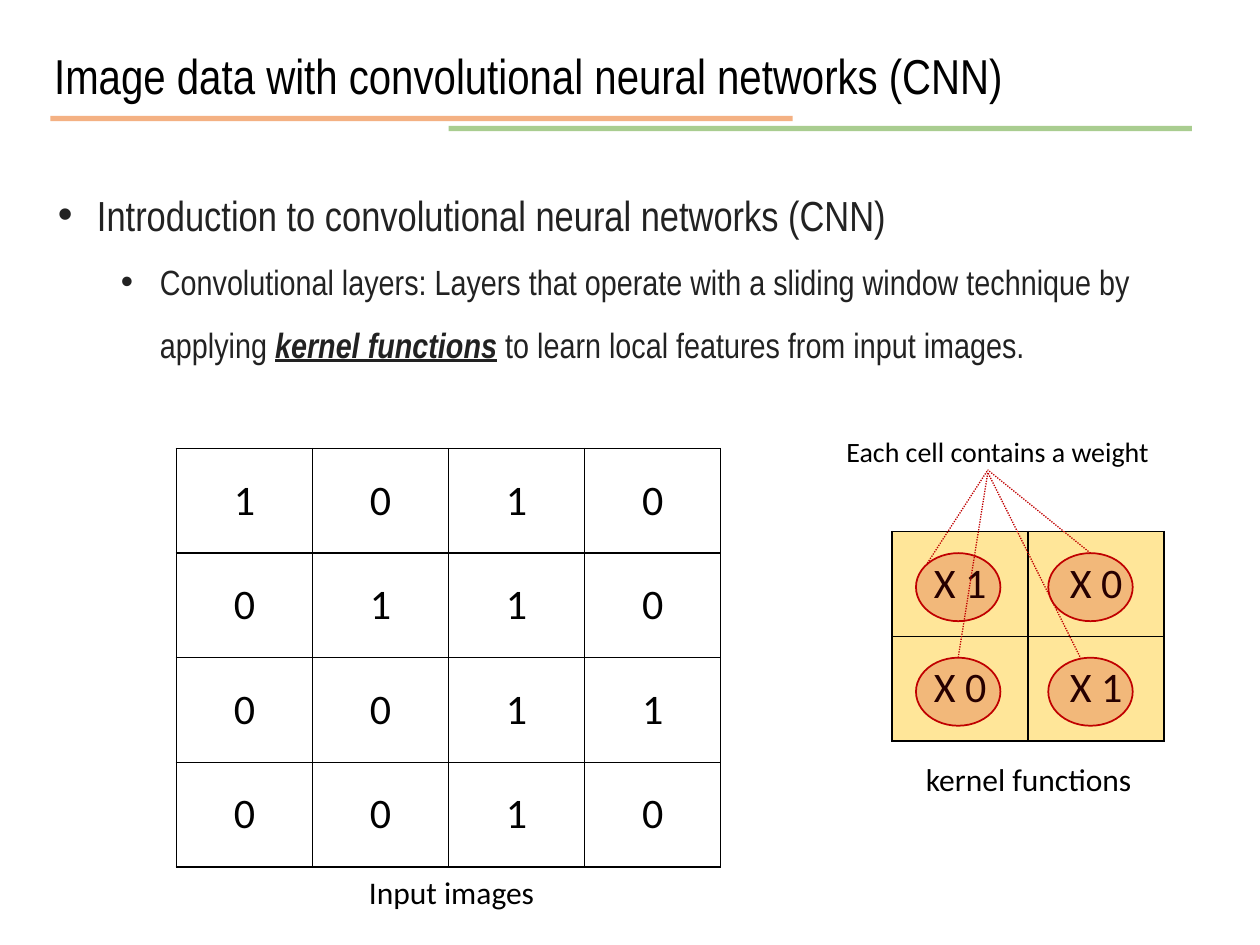
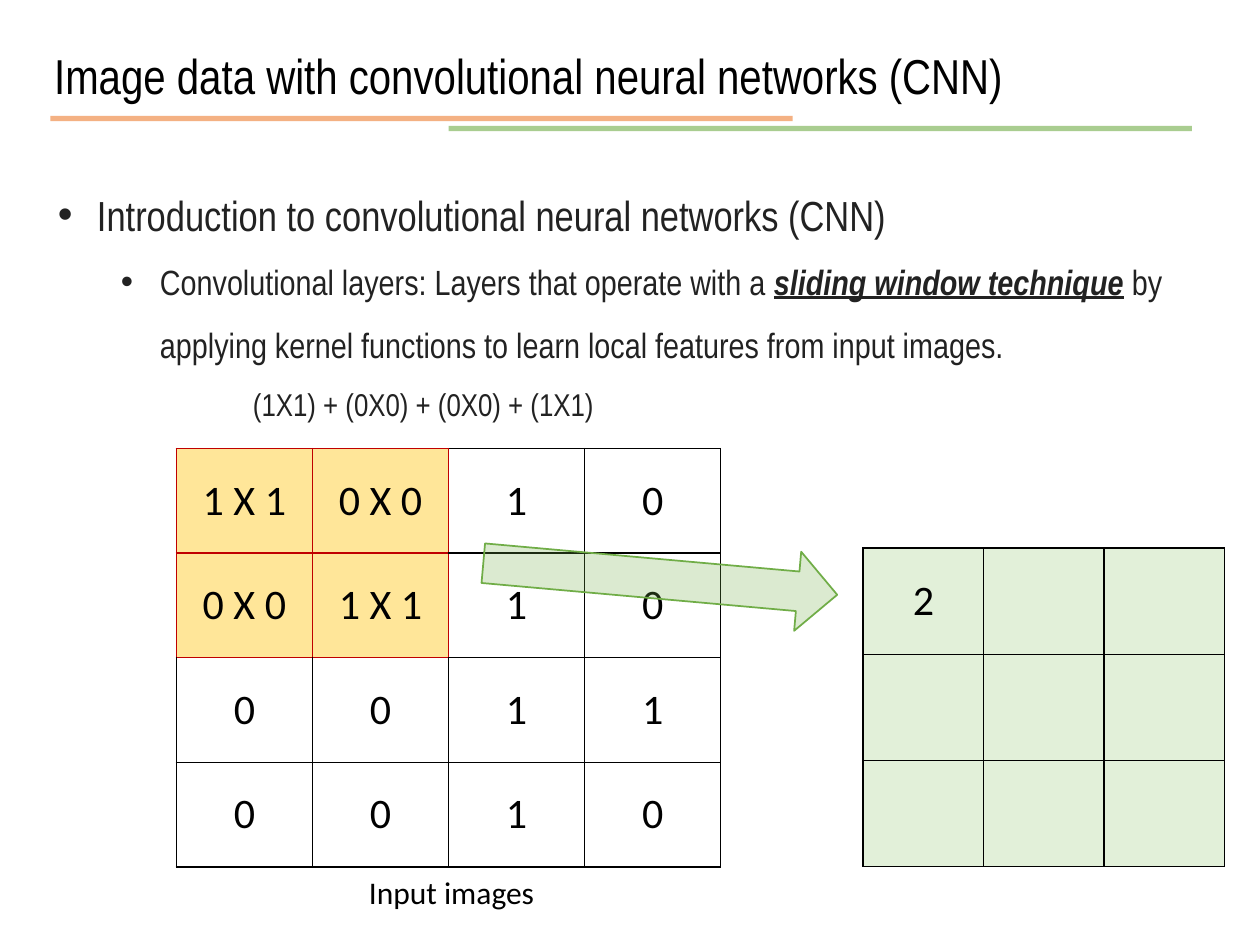
from pptx import Presentation
from pptx import util as u
from pptx.dml.color import RGBColor
from pptx.enum import dml, shapes, text
from pptx.oxml.ns import qn
from lxml import etree

# Shared style
NARROW, PLAIN = "Arial Narrow", "Calibri"
BLACK, INK, RED = "000000", "222222", "C00000"
ORANGE, GREEN = "ED7D31", "70AD47"
KERNEL_FILL, RESULT_FILL = "FFE699", "E2F0D9"
TITLE = "Image data with convolutional neural networks (CNN)"
TOPIC = "Introduction to convolutional neural networks (CNN)"

# Content
IMAGE = [[1, 0, 1, 0], [0, 1, 1, 0], [0, 0, 1, 1], [0, 0, 1, 0]]
KERNEL = [[1, 0], [0, 1]]
WINDOW = [(r, c, IMAGE[r][c], KERNEL[r][c]) for r in range(2) for c in range(2)]

# The slide is a grid of 100 columns by 75 rows
SLIDE_W, SLIDE_H = u.Inches(10), u.Inches(7.5)
IMAGE_AT, IMAGE_CELL = (14, 35.6), (10.8, 8.3)
KERNEL_AT = (70.8, 42.2)
RESULT_AT, RESULT_CELL = (68.5, 43.5), (9.57, 8.43)


def grid(*places):
    """Turn column, row, column, row ... into slide lengths."""
    units = (SLIDE_W / 100, SLIDE_H / 75)
    return [u.Emu(round(n * units[i % 2])) for i, n in enumerate(places)]


def colour(hex_code):
    return RGBColor.from_string(hex_code)


def style(paragraph, size, face, ink=BLACK):
    font = paragraph.font
    font.size, font.name = u.Pt(size), face
    font.color.rgb = colour(ink)


def set_alpha(element, where, percent):
    for srgb in element.xpath(f"./p:spPr/{where}a:solidFill/a:srgbClr"):
        etree.SubElement(srgb, qn("a:alpha"), val=str(percent * 1000))


# Text
def prepare_frame(shape, box):
    shape.left, shape.top, shape.width, shape.height = grid(*box)
    frame = shape.text_frame
    frame.word_wrap = True
    frame.auto_size = text.MSO_AUTO_SIZE.NONE
    frame.vertical_anchor = text.MSO_ANCHOR.TOP
    return frame


def add_label(slide, words, box, size=18, face=PLAIN, ink=BLACK):
    frame = prepare_frame(slide.shapes.add_textbox(*grid(*box)), box)
    frame.text = words
    style(frame.paragraphs[0], size, face, ink)


def set_bullet(paragraph, margin):
    props = paragraph._p.get_or_add_pPr()
    props.set("marL", str(u.Inches(margin)))
    props.set("indent", str(u.Inches(-0.31)))
    etree.SubElement(props, qn("a:buFont"), typeface="Arial")
    etree.SubElement(props, qn("a:buChar"), char="•")


def fill_title(slide):
    frame = prepare_frame(slide.shapes.title, (3.3, 0.8, 93.4, 7.2))
    frame.text = TITLE
    heading = frame.paragraphs[0]
    heading.alignment, heading.line_spacing = text.PP_ALIGN.LEFT, 1.5
    style(heading, 28, NARROW)


def fill_body(slide, height, before, stressed, after):
    frame = prepare_frame(slide.placeholders[1], (3.6, 12.5, 95.6, height))
    topic, detail = frame.paragraphs[0], frame.add_paragraph()
    topic.text, detail.level = TOPIC, 1
    for words in (before, stressed, after):
        run = detail.add_run()
        run.text = words
        if words == stressed:
            run.font.bold = run.font.italic = run.font.underline = True
    for paragraph, size, margin in ((topic, 24, 0.31), (detail, 20, 0.81)):
        paragraph.line_spacing, paragraph.space_before = 1.5, u.Pt(0)
        set_bullet(paragraph, margin)
        style(paragraph, size, NARROW, INK)


# Lines and shapes
def add_line(slide, ends, ink, width, alpha=None, dash=None):
    line = slide.shapes.add_connector(shapes.MSO_CONNECTOR.STRAIGHT, *grid(*ends))
    line.line.color.rgb, line.line.width = colour(ink), u.Pt(width)
    if dash:
        line.line.dash_style = dash
    if alpha:
        set_alpha(line._element, "a:ln/", alpha)
    etree.SubElement(line._element.spPr, qn("a:effectLst"))
    return line


def add_tinted(slide, kind, box, ink, alpha):
    shape = slide.shapes.add_shape(kind, *grid(*box))
    shape.shadow.inherit = False
    shape.fill.solid()
    shape.fill.fore_color.rgb = shape.line.color.rgb = colour(ink)
    shape.line.width = u.Pt(1)
    set_alpha(shape._element, "", alpha)
    return shape


# Tables
def add_border(cell, side, ink):
    edge = etree.SubElement(cell._tc.get_or_add_tcPr(), qn(f"a:ln{side}"), w=str(u.Pt(1)))
    fill = etree.SubElement(edge, qn("a:solidFill"))
    etree.SubElement(fill, qn("a:srgbClr"), val=ink)


def add_matrix(slide, values, corner, cell_size, fills=None, framed=()):
    """Draw values; fills maps (row, column) to a colour, framed cells get red edges."""
    rows, columns = len(values), len(values[0])
    size = (columns * cell_size[0], rows * cell_size[1])
    table = slide.shapes.add_table(rows, columns, *grid(*corner, *size)).table
    table.first_row = table.horz_banding = False
    width, height = grid(*cell_size)
    for column in table.columns:
        column.width = width
    for r, row in enumerate(table.rows):
        row.height = height
        for c, cell in enumerate(row.cells):
            neighbours = {"L": (r, c - 1), "R": (r, c + 1), "T": (r - 1, c), "B": (r + 1, c)}
            for side, neighbour in neighbours.items():
                red = (r, c) in framed or neighbour in framed
                add_border(cell, side, RED if red else BLACK)
            if fills and (r, c) in fills:
                cell.fill.solid()
                cell.fill.fore_color.rgb = colour(fills[r, c])
            else:
                cell.fill.background()
            cell.text = str(values[r][c])
            cell.vertical_anchor = text.MSO_ANCHOR.MIDDLE
            paragraph = cell.text_frame.paragraphs[0]
            paragraph.alignment = text.PP_ALIGN.CENTER
            style(paragraph, 24, PLAIN)


def add_input(slide, values, fills=None, framed=()):
    add_matrix(slide, values, IMAGE_AT, IMAGE_CELL, fills, framed)
    add_label(slide, "Input images", (28.3, 68.8, 19.9, 4))


def start_slide(deck, body_height, *detail):
    slide = deck.slides.add_slide(deck.slide_layouts[1])
    add_line(slide, (4, 9.4, 62.9, 9.4), ORANGE, 3, alpha=60)
    add_line(slide, (35.6, 10.2, 94.6, 10.2), GREEN, 3, alpha=60)
    fill_body(slide, body_height, *detail)
    fill_title(slide)
    return slide


# Slides
def kernel_slide(deck):
    slide = start_slide(
        deck, 21.1,
        "Convolutional layers: Layers that operate with a sliding window technique by applying ",
        "kernel functions", " to learn local features from input images.")
    add_input(slide, IMAGE)
    weights = [[f"X {weight}" for weight in row] for row in KERNEL]
    add_matrix(slide, weights, KERNEL_AT, IMAGE_CELL,
               {(r, c): KERNEL_FILL for r, c, *_ in WINDOW})
    add_label(slide, "kernel functions", (72.5, 59.8, 19.9, 4))

    # Ring each weight and tie it to the remark
    rings = [add_tinted(slide, shapes.MSO_SHAPE.OVAL,
                        (72.7 + 10.5 * c, 43.9 + 8.3 * r, 6.7, 5.4), RED, 20)
             for r, c, *_ in WINDOW]
    starts = [(73.6, 44.7), (86.5, 43.9), (76, 52.2), (85.8, 52.3)]
    meeting_rows = [37.3, 37.3, 37.5, 37.5]
    for i, (start, row) in enumerate(zip(starts, meeting_rows)):
        tie = add_line(slide, (*start, 78.4, row), RED, 0.75,
                       dash=dml.MSO_LINE.ROUND_DOT)
        if i in (1, 2):
            tie.begin_connect(rings[i], 0)
    add_label(slide, "Each cell contains a weight", (66.2, 34, 29.3, 3.7), 16)


def window_slide(deck):
    slide = start_slide(
        deck, 16.5,
        "Convolutional layers: Layers that operate with a ", "sliding window technique",
        " by applying kernel functions to learn local features from input images.")
    products = [row[:] for row in IMAGE]
    for r, c, pixel, weight in WINDOW:
        products[r][c] = f"{pixel} X {weight}"
    covered = {(r, c): KERNEL_FILL for r, c, *_ in WINDOW}
    add_input(slide, products, covered, covered)

    # The first result is the sum of the products
    result = [[""] * 3 for _ in range(3)]
    result[0][0] = sum(pixel * weight for *_, pixel, weight in WINDOW)
    add_matrix(slide, result, RESULT_AT, RESULT_CELL,
               {(r, c): RESULT_FILL for r in range(3) for c in range(3)})
    arrow = add_tinted(slide, shapes.MSO_SHAPE.LEFT_ARROW, (38.3, 42.8, 28.2, 6.3), GREEN, 25)
    arrow.rotation = 185.1
    formula = " + ".join(f"({pixel}X{weight})" for *_, pixel, weight in WINDOW)
    add_label(slide, formula, (19.1, 30.1, 50, 4), face=NARROW, ink=INK)


def main():
    deck = Presentation()
    deck.slide_width, deck.slide_height = SLIDE_W, SLIDE_H
    kernel_slide(deck)
    window_slide(deck)
    deck.save("out.pptx")


if __name__ == "__main__":
    main()
